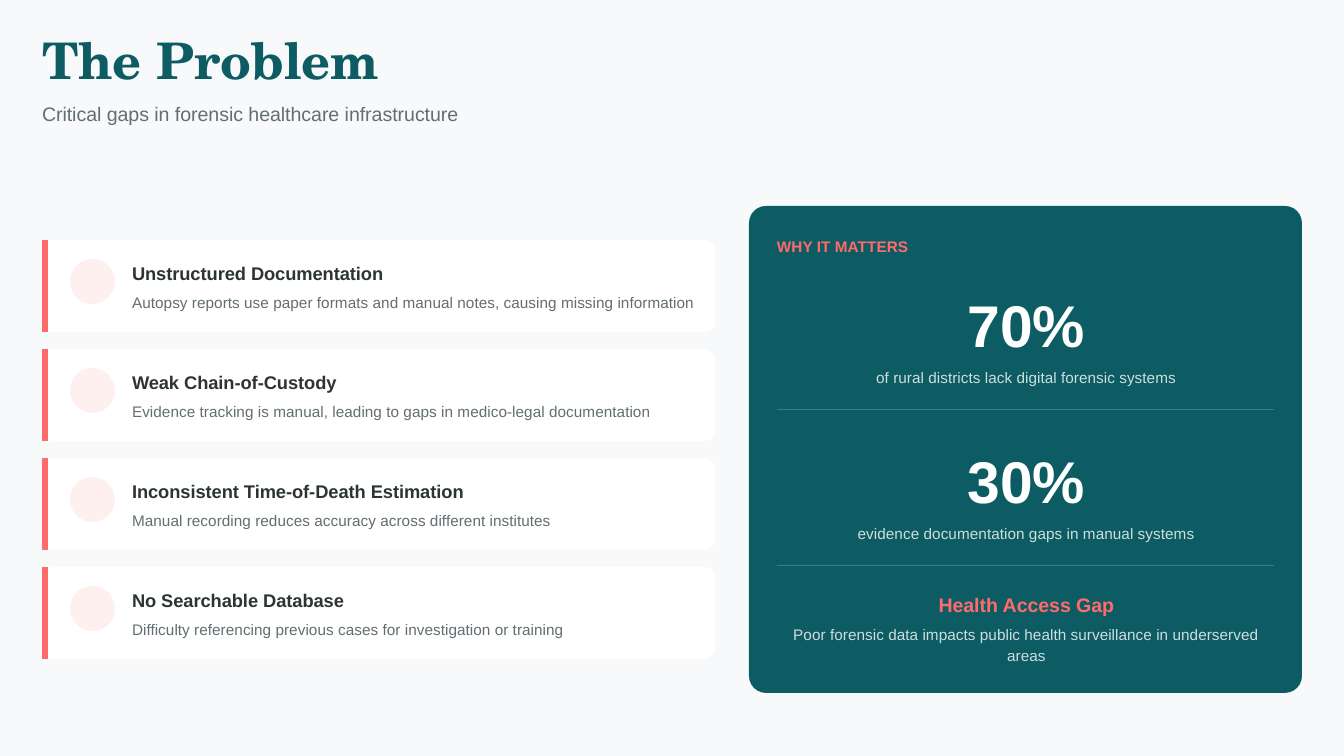
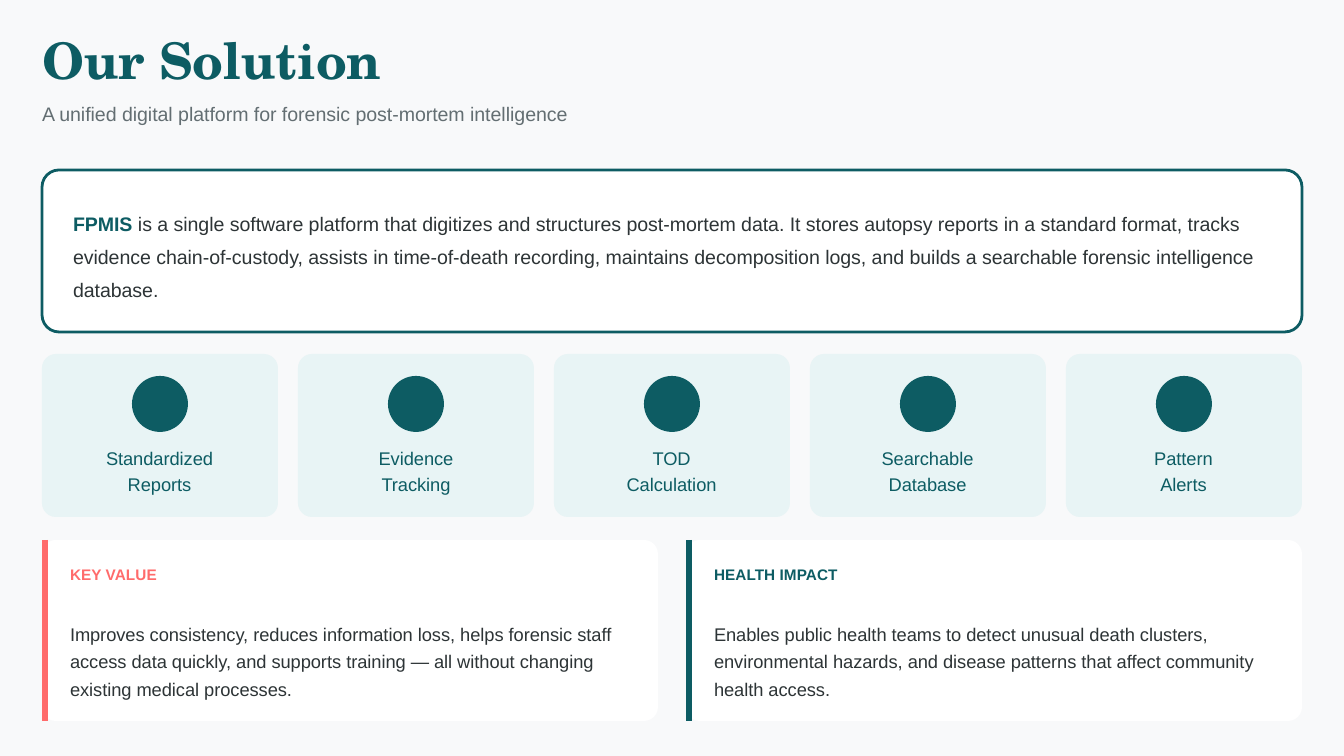
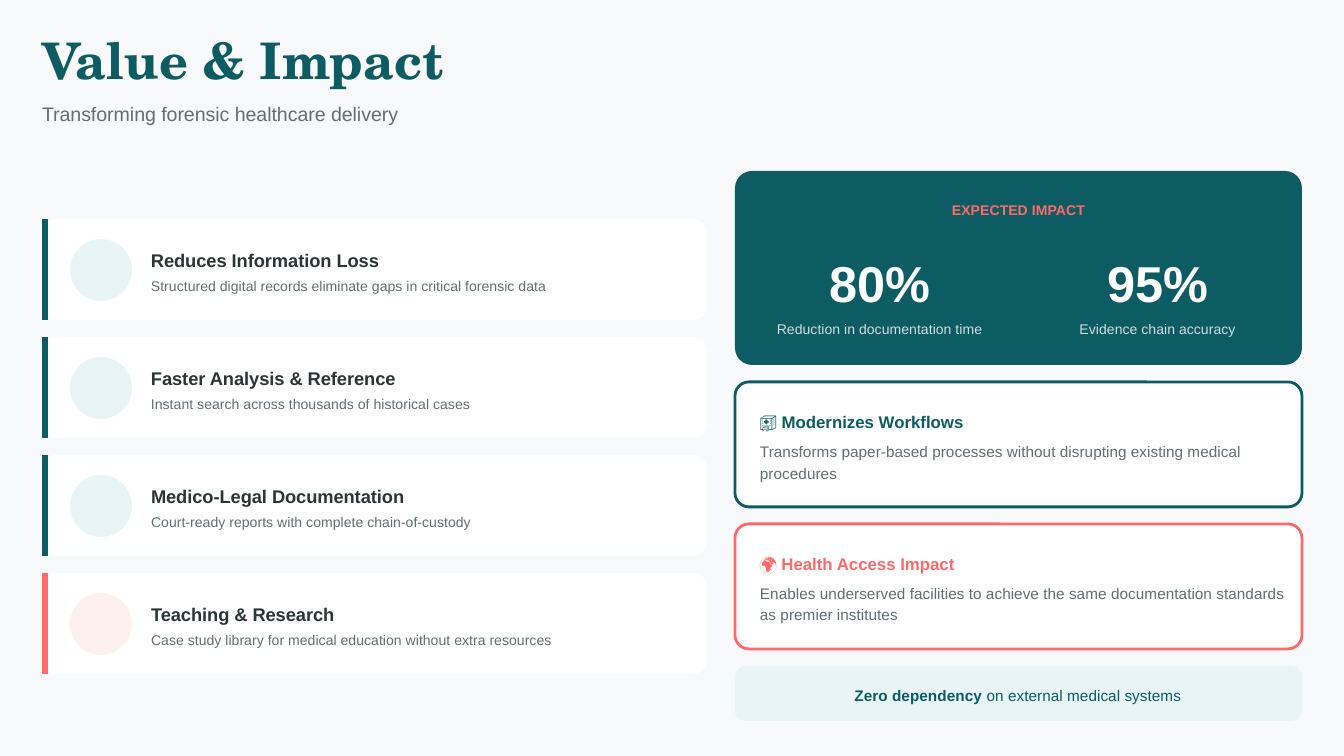
from lxml.etree import SubElement
from pptx import Presentation
from pptx.dml.color import RGBColor
from pptx.enum.shapes import MSO_CONNECTOR as Connector, MSO_SHAPE as Shape
from pptx.enum.text import MSO_ANCHOR as Anchor, MSO_AUTO_SIZE as AutoSize, PP_ALIGN as Align
from pptx.oxml.ns import qn
from pptx.util import Pt

PX = 9144000 / 1344
TEAL, CORAL, WHITE = "0D5C63", "FF6B6B", "FFFFFF"
MIST, BLUSH, PAPER = "E8F4F5", "FFF0F0", "F8F9FA"
INK, GREY = "2D3436", "636E72"
TITLE_FONT, BODY_FONT = "TeX Gyre Schola", "Arial"
MARGIN = 42


def px(*lengths):
    return [round(length * PX) for length in lengths]


def paint(fill, color, alpha=100):
    fill.solid()
    fill.fore_color.rgb = RGBColor.from_string(color)
    if alpha < 100:
        tint = fill._xPr.find(".//" + qn("a:srgbClr"))
        SubElement(tint, qn("a:alpha"), val=str(alpha * 1000))


class Board:
    def __init__(self):
        self.deck = Presentation()
        self.deck.slide_width, self.deck.slide_height = px(1344, 756)
        paint(self.deck.slide_master.background.fill, PAPER)
        self.page = None

    def start(self, title, subtitle):
        self.page = self.deck.slides.add_slide(self.deck.slide_layouts[5])
        box = self.page.shapes.title
        box.left, box.top, box.width, box.height = px(MARGIN, 39, 644, 51)
        self.compose(box.text_frame, title, 27, TEAL, True, leading=1, font=TITLE_FONT)
        self.text(MARGIN, 98, 1285, 27, subtitle, 10.5, GREY)

    def compose(self, frame, content, size, color, bold=False, align=Align.LEFT,
                leading=1.4, alpha=100, font=BODY_FONT, lead=""):
        frame.word_wrap = True
        frame.auto_size = AutoSize.NONE
        frame.vertical_anchor = Anchor.TOP
        frame.margin_left = frame.margin_right = frame.margin_top = frame.margin_bottom = 0
        for number, line in enumerate(content.split("\n")):
            para = frame.add_paragraph() if number else frame.paragraphs[0]
            para.alignment = align
            para.line_spacing = Pt(size * leading)
            para.font.size = Pt(size)
            para.font.name = font
            para.font.bold = bold
            paint(para.font.fill, color, alpha)
            if lead:
                span = para.add_run()
                span.text = lead
                span.font.bold = True
                paint(span.font.fill, TEAL)
            para.add_run().text = line

    def text(self, left, top, width, height, content, size, color, bold=False, **style):
        box = self.page.shapes.add_textbox(*px(left, top, width, height))
        self.compose(box.text_frame, content, size, color, bold, **style)

    def shape(self, kind, left, top, width, height, color, alpha=100, outline=None):
        shape = self.page.shapes.add_shape(kind, *px(left, top, width, height))
        shape.shadow.inherit = False
        paint(shape.fill, color, alpha)
        if outline:
            paint(shape.line.fill, outline)
            shape.line.width = Pt(1.5)
        else:
            shape.line.fill.background()
        return shape

    def panel(self, left, top, width, height, radius, color, outline=None):
        panel = self.shape(Shape.ROUNDED_RECTANGLE, left, top, width, height, color,
                           outline=outline)
        panel.adjustments[0] = radius / min(width, height)

    def dot(self, left, top, size, color):
        self.shape(Shape.OVAL, left, top, size, size, color)

    def card(self, left, top, width, height, radius, accent):
        self.panel(left, top, width, height, radius, WHITE)
        edge = self.page.shapes.add_connector(
            Connector.STRAIGHT, *px(left + 3, top, left + 3, top + height))
        paint(edge.line.fill, accent)
        edge.line.width = Pt(3)
        SubElement(edge._element.spPr, qn("a:effectLst"))

    def stat(self, left, top, width, height, value, size, caption, caption_size):
        self.text(left, top, width, height, value, size, WHITE, True, align=Align.CENTER)
        self.text(left, top + height + 6, width, 22, caption, caption_size, WHITE,
                  align=Align.CENTER, alpha=80)


def problem(board):
    board.start("The Problem", "Critical gaps in forensic healthcare infrastructure")
    gaps = [
        ("Unstructured Documentation", 573,
         "Autopsy reports use paper formats and manual notes, causing missing information"),
        ("Weak Chain-of-Custody", 528,
         "Evidence tracking is manual, leading to gaps in medico-legal documentation"),
        ("Inconsistent Time-of-Death Estimation", 426,
         "Manual recording reduces accuracy across different institutes"),
        ("No Searchable Database", 440,
         "Difficulty referencing previous cases for investigation or training"),
    ]
    for row, (heading, width, detail) in enumerate(gaps):
        top = 240 + 109 * row
        board.card(MARGIN, top, 673, 92, 11, CORAL)
        board.dot(70, top + 19, 45, BLUSH)
        board.text(132, top + 19, width, 26, heading, 9.75, INK, True)
        board.text(132, top + 50, width, 22, detail, 8.25, GREY)

    board.panel(749, 206, 553, 487, 17, TEAL)
    board.text(777, 234, 507, 22, "WHY IT MATTERS", 8.25, CORAL, True)
    stats = [("70%", "of rural districts lack digital forensic systems"),
             ("30%", "evidence documentation gaps in manual systems")]
    for row, (value, caption) in enumerate(stats):
        top = 277 + 156 * row
        board.stat(773, top, 507, 82, value, 31.5, caption, 8.25)
        board.shape(Shape.RECTANGLE, 777, top + 132, 497, 1, WHITE, alpha=20)
    board.text(773, 589, 507, 27, "Health Access Gap", 10.5, CORAL, True, align=Align.CENTER)
    board.text(773, 622, 507, 43,
               "Poor forensic data impacts public health surveillance in underserved areas",
               8.25, WHITE, align=Align.CENTER, alpha=80)


def solution(board):
    board.start("Our Solution", "A unified digital platform for forensic post-mortem intelligence")
    board.panel(MARGIN, 170, 1260, 162, 17, WHITE, TEAL)
    board.text(73, 202, 1223, 99,
               " is a single software platform that digitizes and structures post-mortem data. "
               "It stores autopsy reports in a standard format, tracks evidence chain-of-custody, "
               "assists in time-of-death recording, maintains decomposition logs, and builds a "
               "searchable forensic intelligence database.",
               10.5, INK, leading=1.7, lead="FPMIS")

    features = [("Standardized\nReports", 117), ("Evidence\nTracking", 82),
                ("TOD\nCalculation", 99), ("Searchable\nDatabase", 99), ("Pattern\nAlerts", 65)]
    for column, (label, width) in enumerate(features):
        left = MARGIN + 256 * column
        board.panel(left, 354, 236, 163, 14, MIST)
        board.dot(left + 90, 376, 56, TEAL)
        board.text(left + (236 - width) // 2, 444, width, 51, label, 9.75, TEAL,
                   align=Align.CENTER)

    benefits = [
        ("KEY VALUE", CORAL,
         "Improves consistency, reduces information loss, helps forensic staff access data "
         "quickly, and supports training — all without changing existing medical processes."),
        ("HEALTH IMPACT", TEAL,
         "Enables public health teams to detect unusual death clusters, environmental hazards, "
         "and disease patterns that affect community health access."),
    ]
    for column, (label, accent, detail) in enumerate(benefits):
        left = MARGIN + 644 * column
        board.card(left, 540, 616, 181, 14, accent)
        board.text(left + 28, 562, 577, 22, label, 8.25, accent, True)
        board.text(left + 28, 618, 577, 82, detail, 9.75, INK, leading=1.5)


def impact(board):
    board.start("Value & Impact", "Transforming forensic healthcare delivery")
    values = [
        ("Reduces Information Loss", 401, TEAL, MIST,
         "Structured digital records eliminate gaps in critical forensic data"),
        ("Faster Analysis & Reference", 323, TEAL, MIST,
         "Instant search across thousands of historical cases"),
        ("Medico-Legal Documentation", 324, TEAL, MIST,
         "Court-ready reports with complete chain-of-custody"),
        ("Teaching & Research", 406, CORAL, BLUSH,
         "Case study library for medical education without extra resources"),
    ]
    for row, (heading, width, accent, tint, detail) in enumerate(values):
        top = 219 + 118 * row
        board.card(MARGIN, top, 665, 101, 14, accent)
        board.dot(70, top + 20, 62, tint)
        board.text(151, top + 27, width, 26, heading, 9.75, INK, True)
        board.text(151, top + 56, width, 20, detail, 7.5, GREY)

    board.panel(735, 171, 567, 194, 17, TEAL)
    board.text(758, 199, 521, 20, "EXPECTED IMPACT", 7.5, CORAL, True, align=Align.CENTER)
    board.stat(761, 242, 237, 70, "80%", 27, "Reduction in documentation time", 7.5)
    board.stat(1039, 242, 237, 70, "95%", 27, "Evidence chain accuracy", 7.5)

    outcomes = [
        ("🏥 Modernizes Workflows", TEAL,
         "Transforms paper-based processes without disrupting existing medical procedures"),
        ("🌍 Health Access Impact", CORAL,
         "Enables underserved facilities to achieve the same documentation standards "
         "as premier institutes"),
    ]
    for row, (heading, accent, detail) in enumerate(outcomes):
        top = 382 + 142 * row
        board.panel(735, top, 567, 125, 14, WHITE, accent)
        board.text(760, top + 26, 527, 23, heading, 9, accent, True)
        board.text(760, top + 57, 527, 43, detail, 8.25, GREY)

    board.panel(735, 666, 567, 55, 11, MIST)
    board.text(746, 683, 544, 22, " on external medical systems", 8.25, TEAL,
               align=Align.CENTER, lead="Zero dependency")


def main():
    board = Board()
    for build in (problem, solution, impact):
        build(board)
    board.deck.save("out.pptx")


if __name__ == "__main__":
    main()
